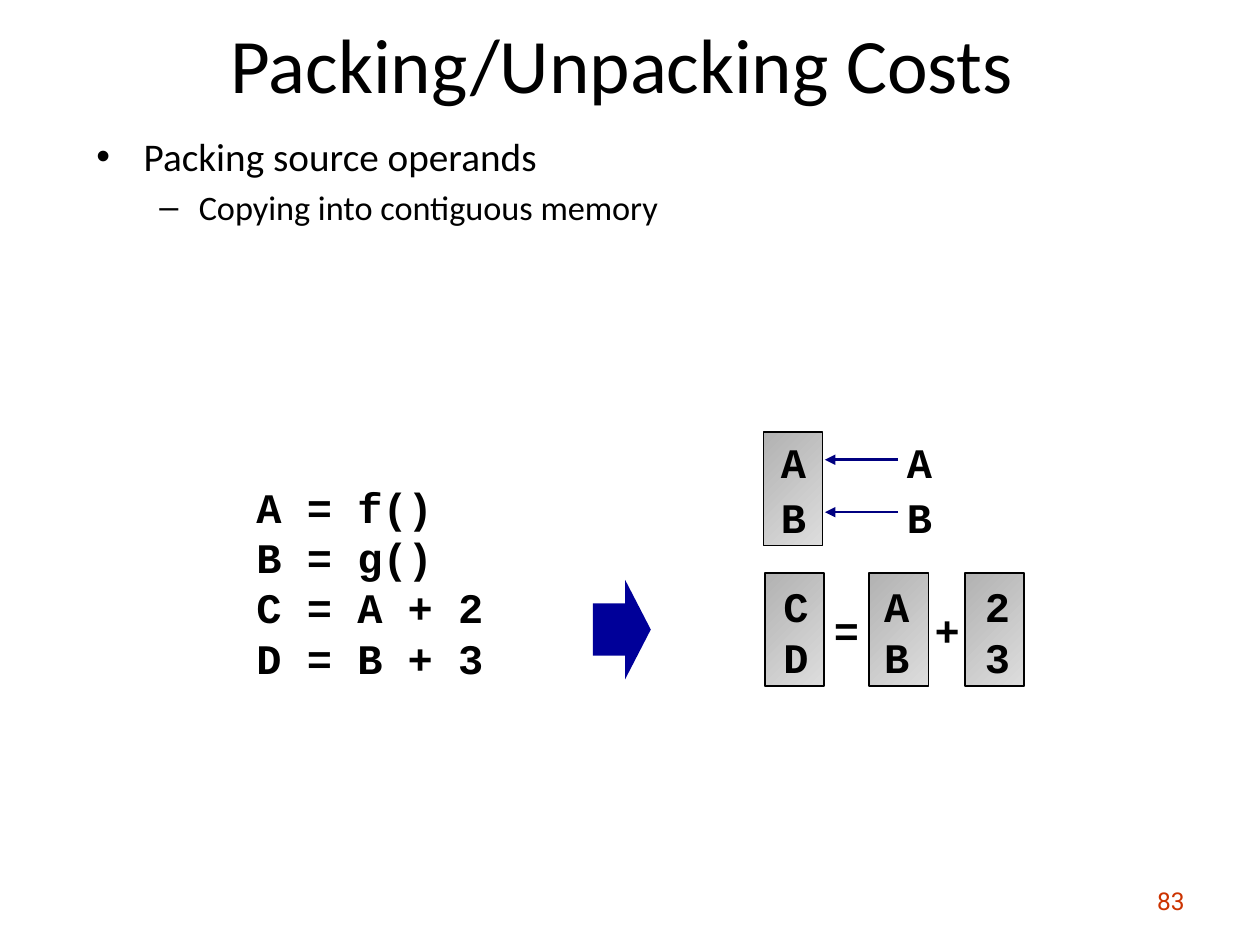
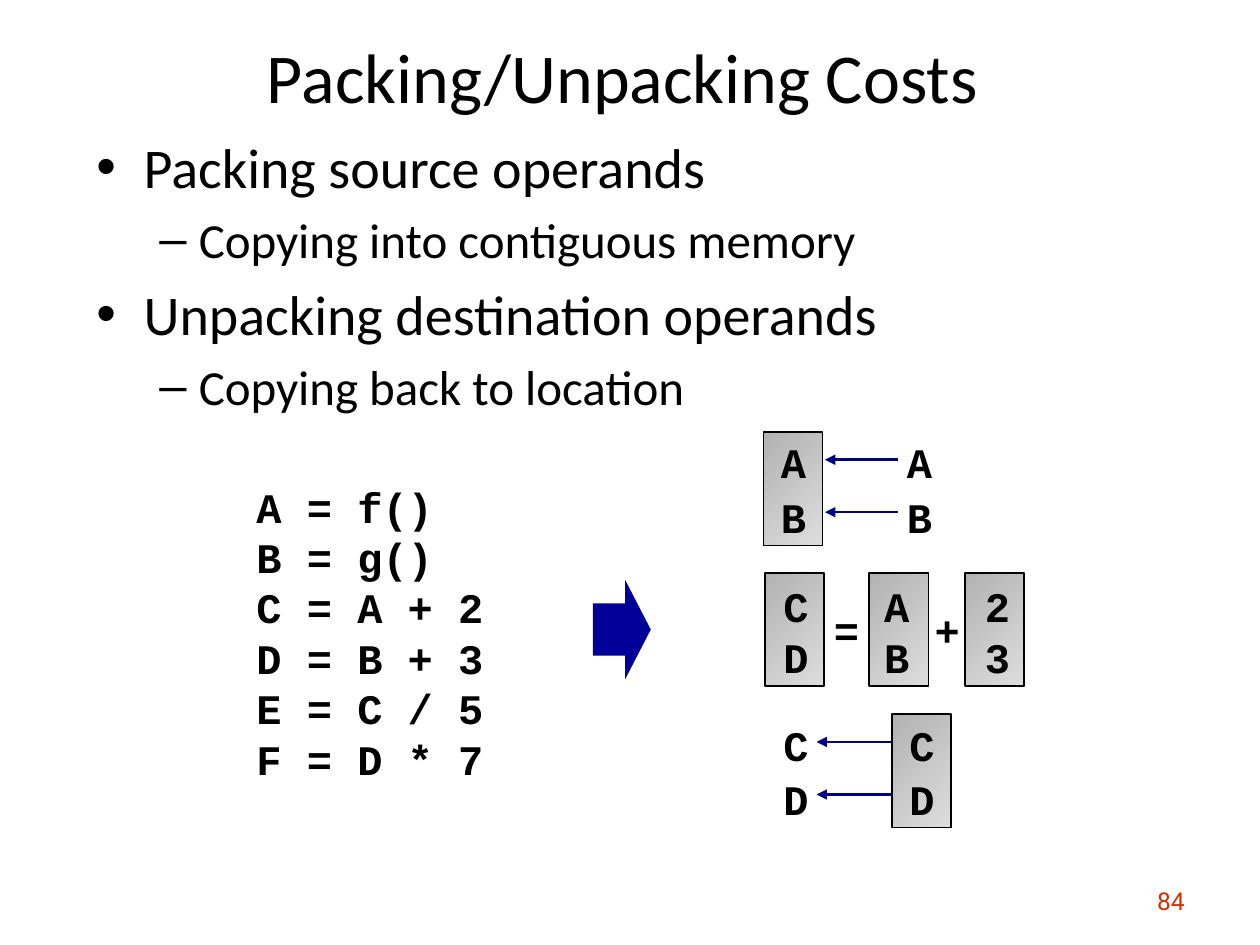
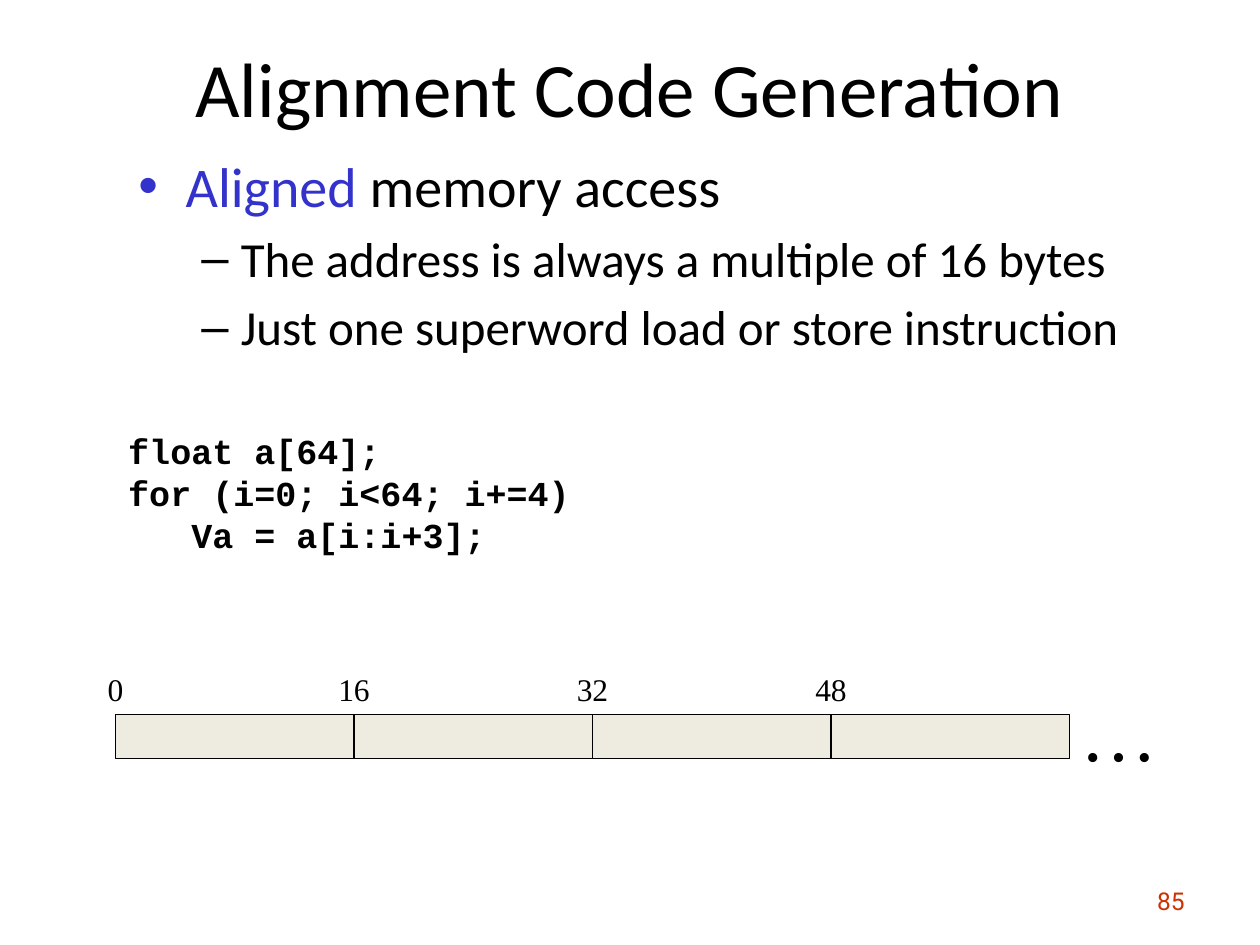
from lxml.etree import SubElement
from pptx import Presentation
from pptx.dml.color import RGBColor
from pptx.enum.shapes import MSO_CONNECTOR, MSO_SHAPE
from pptx.enum.text import MSO_ANCHOR, PP_ALIGN
from pptx.oxml.ns import qn
from pptx.util import Pt

BLACK = RGBColor(0x00, 0x00, 0x00)
RUST = RGBColor(0xCC, 0x33, 0x00)
BLUE = RGBColor(0x33, 0x33, 0xCC)
NAVY = RGBColor(0x00, 0x00, 0x80)
ARROW = RGBColor(0x00, 0x00, 0x99)
CREAM = RGBColor(0xEE, 0xEC, 0xE1)
GRAY = RGBColor(0xB2, 0xB2, 0xB2)
PALE = RGBColor(0xDD, 0xDD, 0xDD)

SANS, MONO, SERIF, FOOT = "Calibri", "Courier New", "Times New Roman", "Roboto"
LEVELS = [("•", 27, -27), ("–", 58.5, -22.5)]
PACK_W, PACK_H = 33.8, 64.8
STEP = 28.8


def style(item, name, size, color=BLACK, bold=False):
    font = item.font
    font.name, font.size, font.bold = name, Pt(size), bold
    font.color.rgb = color


def text(slide, box, lines, name, size, color=BLACK, bold=False,
         align=PP_ALIGN.LEFT, anchor=MSO_ANCHOR.TOP, wrap=False):
    frame = slide.shapes.add_textbox(*map(Pt, box)).text_frame
    frame.word_wrap = wrap
    frame.vertical_anchor = anchor
    frame.text = "\n".join(lines)
    for para in frame.paragraphs:
        para.alignment = align
        for run in para.runs:
            style(run, name, size, color, bold)
    return frame


def mono(slide, x, y, lines, size=24):
    width = (max(map(len, lines)) + 1) * size * 0.6 + 14.4
    height = len(lines) * size * 1.2 + 7.2
    text(slide, (x, y, width, height), lines, MONO, size, bold=True)


def page(deck, number, title, box, size):
    slide = deck.slides.add_slide(deck.slide_layouts[6])
    text(slide, (516, 500.4, 168, 28.8), [str(number)], FOOT, 14, RUST,
         align=PP_ALIGN.RIGHT, anchor=MSO_ANCHOR.MIDDLE, wrap=True)
    text(slide, box, [title], SANS, size, align=PP_ALIGN.CENTER,
         anchor=MSO_ANCHOR.MIDDLE, wrap=True)
    return slide


def body(slide, box, items, sizes):
    frame = text(slide, box, [line for _, line in items], SANS, sizes[0], wrap=True)
    for i, (para, (level, _)) in enumerate(zip(frame.paragraphs, items)):
        mark, left, hang = LEVELS[level]
        props = para._p.get_or_add_pPr()
        props.set("marL", str(Pt(left)))
        props.set("indent", str(Pt(hang)))
        SubElement(props, qn("a:buFont"), typeface="Arial")
        SubElement(props, qn("a:buChar"), char=mark)
        if i:
            para.space_before = Pt(round(sizes[level] * 0.2, 1))
        for run in para.runs:
            run.font.size = Pt(sizes[level])
    return frame


def block(slide, kind, box, fill=None, line=None):
    shape = slide.shapes.add_shape(kind, *map(Pt, box))
    shape.shadow.inherit = False
    if fill is None:
        shape.fill.gradient()
        shape.fill.gradient_angle = 315
        for stop, color, place in zip(shape.fill.gradient_stops, (GRAY, PALE), (0, 1)):
            stop.color.rgb, stop.position = color, place
    else:
        shape.fill.solid()
        shape.fill.fore_color.rgb = fill
    if line is None:
        shape.line.fill.background()
    else:
        shape.line.color.rgb = BLACK
        shape.line.width = Pt(line)
    return shape


def pack(slide, x, y):
    block(slide, MSO_SHAPE.RECTANGLE, (x, y, PACK_W, PACK_H), line=1)


def arrow(slide, start, end, y):
    link = slide.shapes.add_connector(MSO_CONNECTOR.STRAIGHT, *map(Pt, (start, y, end, y)))
    link.line.color.rgb = NAVY
    link.line.width = Pt(1.5)
    SubElement(link.line._get_or_add_ln(), qn("a:tailEnd"), type="triangle")
    SubElement(link._element.spPr, qn("a:effectLst"))


def copies(slide, x, y, names, box, start, end):
    pack(slide, x + box, y + 0.7)
    for i, name in enumerate(names):
        arrow(slide, x + start, x + end, y + 16.5 + i * 30)
        for side in (x, x + 72):
            mono(slide, side, y + i * 31, [name])


def sums(slide, x, y):
    for shift in (-3.6, 56.2, 111):
        pack(slide, x + shift, y - 0.9)
    for i, names in enumerate(("CD", "AB", "23")):
        mono(slide, x + i * 2 * STEP, y, list(names))
    for i, sign in enumerate("=+"):
        mono(slide, x + STEP + i * 2 * STEP, y + 13.7, [sign])


def costs(slide, code):
    mono(slide, 139.5, 271.4, code)
    head = block(slide, MSO_SHAPE.RIGHT_ARROW, (338.8, 331.3, 33.1, 56.9), ARROW)
    head.adjustments[0], head.adjustments[1] = 0.525, 0.443
    copies(slide, 439.2, 246.2, "AB", -2.9, 74, 32.2)
    sums(slide, 440.6, 328.3)


def ruler(slide, x, y, width, height, marks):
    for i, mark in enumerate(marks):
        left = x + i * width
        block(slide, MSO_SHAPE.RECTANGLE, (left, y, width, height), CREAM, 0.75)
        text(slide, (left - 25, y - 28.6, 50, 28.8), [str(mark)], SERIF, 18,
             align=PP_ALIGN.CENTER)
    text(slide, (x + len(marks) * width - 5.7, y - 20.7, 68.3, 59.8), ["…"], SERIF, 44,
         align=PP_ALIGN.CENTER)


def main():
    deck = Presentation()
    deck.slide_width, deck.slide_height = Pt(720), Pt(540)
    title = "Packing/Unpacking Costs"
    items = [(0, "Packing source operands"), (1, "Copying into contiguous memory")]
    more = [(0, "Unpacking destination operands"), (1, "Copying back to location")]
    code = ["A = f()", "B = g()", "C = A + 2", "D = B + 3"]

    slide = page(deck, 83, title, (31.7, 5.8, 648, 59.8), 44)
    body(slide, (48, 72, 630, 55.4), items, (22.4, 19.6))
    costs(slide, code)

    slide = page(deck, 84, title, (31.7, 18, 648, 50.4), 40)
    body(slide, (48, 72, 630, 175), items + more, (32, 28))
    costs(slide, code + ["E = C / 5", "F = D * 7"])
    copies(slide, 440.6, 407.5, "CD", 69.1, 68.4, 26)

    slide = page(deck, 85, "Alignment Code Generation", (36, 21.6, 648, 56.2), 44)
    frame = body(slide, (72, 82.8, 630, 434.9), [
        (0, "Aligned"),
        (1, "The address is always a multiple of 16 bytes"),
        (1, "Just one superword load or store instruction"),
    ], (32, 28))
    first = frame.paragraphs[0]
    first.runs[0].font.color.rgb = BLUE
    rest = first.add_run()
    rest.text = " memory access"
    style(rest, SANS, 32)
    mono(slide, 66.2, 241.9,
         ["float a[64];", "for (i=0; i<64; i+=4)", "   Va = a[i:i+3];"], 20)
    ruler(slide, 66, 408.2, 136.3, 25.2, range(0, 64, 16))
    deck.save("out.pptx")


if __name__ == "__main__":
    main()
